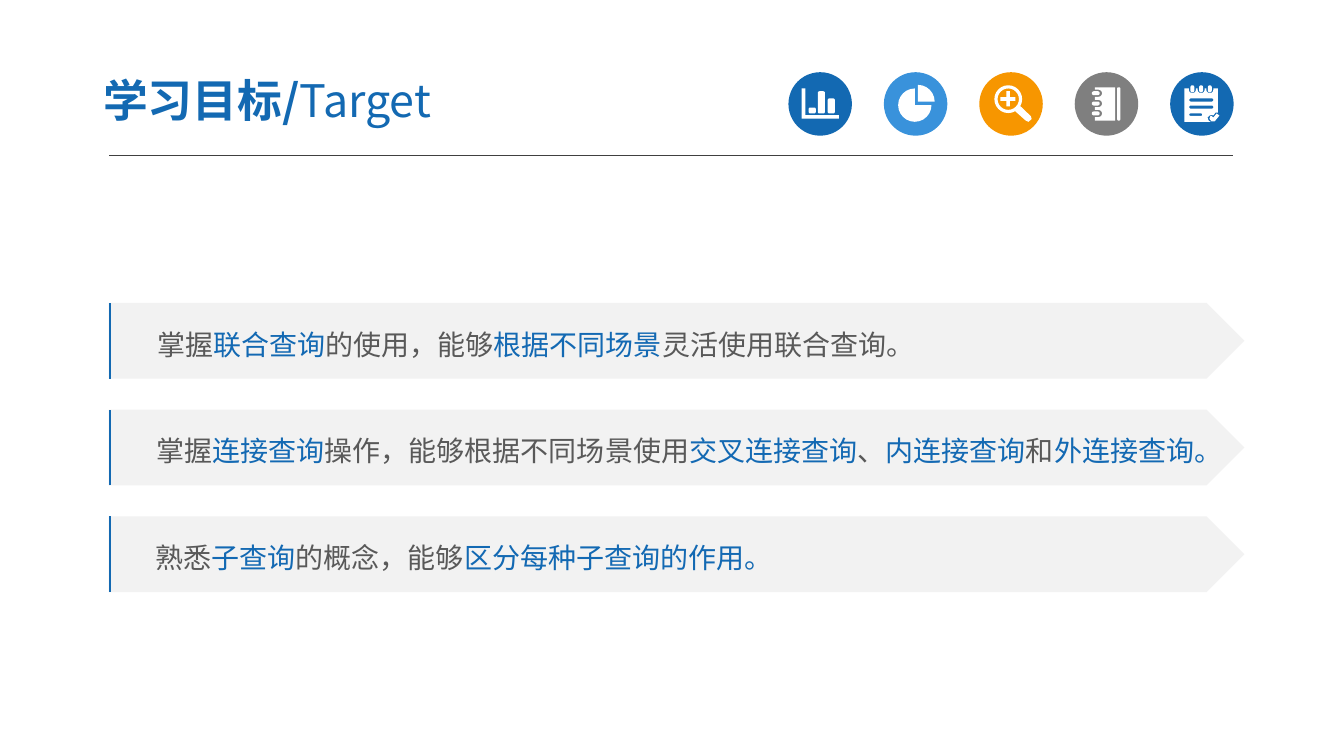
"""Builds the learning-targets slide with a title, five icons and three arrow bars."""
import math

import pptx
import pptx.util
from lxml import etree
from pptx.dml.color import RGBColor
from pptx.enum.shapes import MSO_CONNECTOR, MSO_SHAPE
from pptx.enum.text import MSO_ANCHOR, MSO_AUTO_SIZE, PP_ALIGN
from pptx.oxml.ns import qn
from pptx.util import Cm

FONT = "Noto Sans CJK SC"
BLUE = RGBColor(0x13, 0x69, 0xB2)
KEYWORD = RGBColor(0x13, 0x69, 0xB3)
SKY = RGBColor(0x39, 0x92, 0xDB)
ORANGE = RGBColor(0xF7, 0x96, 0x00)
GRAY = RGBColor(0x7F, 0x7F, 0x7F)
TEXT = RGBColor(0x59, 0x59, 0x59)
BAR = RGBColor(0xF2, 0xF2, 0xF2)
RULE = RGBColor(0x40, 0x40, 0x40)
WHITE = RGBColor(0xFF, 0xFF, 0xFF)

TITLE = [("学习目标/", True), ("Target", False)]
TARGETS = [
    [("掌握", TEXT), ("联合查询", KEYWORD), ("的使用，能够", TEXT),
     ("根据不同场景", KEYWORD), ("灵活使用联合查询。", TEXT)],
    [("掌握", TEXT), ("连接查询", KEYWORD), ("操作，能够根据不同场景使用", TEXT),
     ("交叉连接查询", KEYWORD), ("、", TEXT), ("内连接查询", KEYWORD),
     ("和", TEXT), ("外连接查询。", KEYWORD)],
    [("熟悉", TEXT), ("子查询", KEYWORD), ("的概念，能够", TEXT),
     ("区分每种子查询的作用。", KEYWORD)],
]

ICON_LEFT, ICON_TOP, ICON_SIZE, ICON_STEP = 19.87, 1.82, 1.6, 2.42
ICON_STEP = 2.4 + 0.02 / 4
BAR_LEFT, BAR_TOP, BAR_WIDTH, BAR_HEIGHT, BAR_STEP = 2.74, 7.63, 28.62, 1.91, 2.69


def arc(cx, cy, radius, start, end, step=15):
    """Returns points along an arc, in degrees clockwise from the right."""
    return [(cx + radius * math.cos(math.radians(a)), cy + radius * math.sin(math.radians(a)))
            for a in range(start, end + 1, step)]


def rounded(x, y, w, h, radius):
    """Returns the outline of a rectangle with rounded corners."""
    right, bottom = x + w - radius, y + h - radius
    corners = [(right, bottom), (x + radius, bottom), (x + radius, y + radius), (right, y + radius)]
    return [point for i, (cx, cy) in enumerate(corners)
            for point in arc(cx, cy, radius, 90 * i, 90 * i + 90, 30)]


RING_YS = (0.53, 0.79, 1.04)
RING_XS = (0.56, 0.78, 1.0)
CHART = [
    [(0.33, 0.41), (0.43, 0.41), (0.43, 1.08), (1.27, 1.08), (1.27, 1.17), (0.33, 1.17)],
    rounded(0.51, 0.89, 0.18, 0.15, 0.04),
    rounded(0.74, 0.48, 0.18, 0.56, 0.04),
    rounded(0.99, 0.66, 0.18, 0.38, 0.04),
]
PIE = [
    [(0.86, 0.74)] + arc(0.86, 0.74, 0.42, 270, 360),
    [(0.78, 0.83)] + arc(0.78, 0.83, 0.42, 0, 270),
]
MAGNIFIER = [
    arc(0.73, 0.68, 0.35, 60, 390) + [(1.3, 1.11), (1.32, 1.18), (1.24, 1.25), (1.17, 1.22)],
    arc(0.73, 0.68, 0.27, 0, 345),
    [(0.53, 0.63), (0.68, 0.63), (0.68, 0.48), (0.77, 0.48), (0.77, 0.63), (0.91, 0.63),
     (0.91, 0.72), (0.77, 0.72), (0.77, 0.86), (0.68, 0.86), (0.68, 0.72), (0.53, 0.72)],
]
NOTEBOOK = [
    rounded(1.07, 0.38, 0.08, 0.84, 0.03),
    [(0.51, 0.38)]
    + [point for y in RING_YS
       for point in [(0.51, y - 0.09)] + arc(0.6, y, 0.09, -90, 90, 30)[::1] + [(0.51, y + 0.09)]]
    + [(0.51, 1.22), (1.02, 1.22), (1.02, 0.38)],
] + [rounded(0.43, y - 0.05, 0.2, 0.1, 0.05) for y in RING_YS]
NOTEPAD = [
    [(0.36, 0.41)]
    + [point for x in RING_XS
       for point in [(x - 0.09, 0.41)] + arc(x, 0.44, 0.09, 0, 180, 30)[::-1] + [(x + 0.09, 0.41)]]
    + [(1.2, 0.41), (1.2, 1.02), (1.14, 1.02), (1.09, 1.09), (1.02, 1.07), (0.94, 1.14),
       (0.97, 1.22), (1.02, 1.25), (0.36, 1.25)],
    rounded(0.48, 0.66, 0.61, 0.08, 0.04),
    rounded(0.48, 0.84, 0.61, 0.08, 0.04),
    rounded(0.48, 1.04, 0.33, 0.06, 0.03),
    [(1.22, 1.12), (1.12, 1.24), (1.04, 1.24), (0.99, 1.17), (1.02, 1.09), (1.09, 1.14),
     (1.17, 1.04), (1.24, 1.09)],
] + [rounded(x - 0.05, 0.33, 0.1, 0.18, 0.05) for x in RING_XS]
ICONS = [(BLUE, CHART), (SKY, PIE), (ORANGE, MAGNIFIER), (GRAY, NOTEBOOK), (BLUE, NOTEPAD)]


def add_run(p, text, size=20, color=TEXT, bold=False):
    """Adds formatted text to a paragraph."""
    r = p.add_run()
    r.text = text
    r.font.size = pptx.util.Pt(size)
    r.font.bold = bold
    r.font.color.rgb = color
    r.font.name = FONT
    ea = etree.SubElement(r.font._element, qn("a:ea"))
    ea.set("typeface", FONT)


def set_fill(sp, color):
    """Gives a shape a plain fill without outline or shadow."""
    sp.shadow.inherit = False
    sp.fill.solid()
    sp.fill.fore_color.rgb = color
    sp.line.fill.background()


def add_outline(shapes, contours, left, top, close=True):
    """Adds one freeform made of several contours, offset from left and top."""
    outlines = [[(Cm(left + x), Cm(top + y)) for x, y in contour] for contour in contours]
    builder = shapes.build_freeform(*outlines[0][0])
    for i, points in enumerate(outlines):
        if i:
            builder.move_to(*points[0])
        builder.add_line_segments(points[1:], close=close)
    return builder.convert_to_shape()


def main():
    """Builds and saves the slide."""
    prs = pptx.Presentation()
    prs.slide_width, prs.slide_height = Cm(33.87), Cm(19.05)
    s = prs.slides.add_slide(prs.slide_layouts[5])

    title = s.shapes.title
    title.left, title.top, title.width, title.height = Cm(2.27), Cm(1.6), Cm(13.26), Cm(1.83)
    tf = title.text_frame
    tf.auto_size = MSO_AUTO_SIZE.NONE
    tf.vertical_anchor = MSO_ANCHOR.MIDDLE
    tf.margin_left = tf.margin_right = Cm(0.33)
    p = tf.paragraphs[0]
    p.alignment = PP_ALIGN.LEFT
    for text, bold in TITLE:
        add_run(p, text, size=32, color=BLUE, bold=bold)

    rule = s.shapes.add_connector(MSO_CONNECTOR.STRAIGHT, Cm(2.75), Cm(3.93), Cm(31.07), Cm(3.93))
    rule.line.color.rgb = RULE
    rule.line.width = pptx.util.Pt(0.75)
    etree.SubElement(rule._element.spPr, qn("a:effectLst"))

    for i, (color, contours) in enumerate(ICONS):
        left = ICON_LEFT + i * ICON_STEP
        icon = s.shapes.add_group_shape().shapes
        disc = icon.add_shape(MSO_SHAPE.OVAL, Cm(left), Cm(ICON_TOP), Cm(ICON_SIZE), Cm(ICON_SIZE))
        set_fill(disc, color)
        set_fill(add_outline(icon, contours, left, ICON_TOP), WHITE)

    for i, target in enumerate(TARGETS):
        top = BAR_TOP + i * BAR_STEP
        row = s.shapes.add_group_shape().shapes
        sp = row.add_shape(MSO_SHAPE.PENTAGON, Cm(BAR_LEFT), Cm(top), Cm(BAR_WIDTH), Cm(BAR_HEIGHT))
        set_fill(sp, BAR)
        tf = sp.text_frame
        tf.word_wrap = True
        tf.vertical_anchor = MSO_ANCHOR.MIDDLE
        tf.margin_left, tf.margin_right = Cm(1.22 - 0.02 * i), Cm(0)
        p = tf.paragraphs[0]
        p.alignment = PP_ALIGN.LEFT
        p.line_spacing = 1.2
        for text, color in target:
            add_run(p, text, color=color)
        edge = add_outline(row, [[(0, BAR_HEIGHT), (0, 0)]], 2.78, top, close=False)
        edge.shadow.inherit = False
        edge.fill.background()
        edge.line.color.rgb = BLUE
        edge.line.width = pptx.util.Pt(1.5)

    prs.save("out.pptx")


if __name__ == "__main__":
    main()
